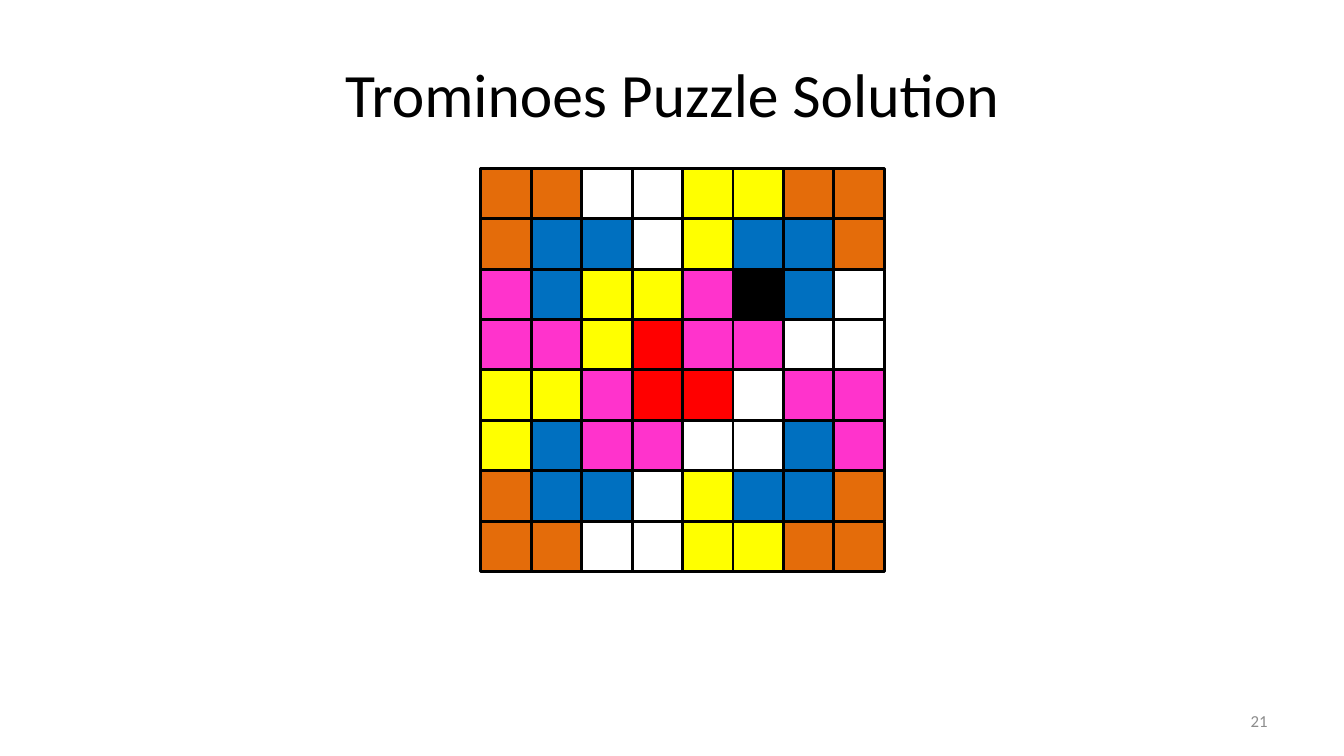
from pptx import Presentation
from pptx.dml.color import RGBColor
from pptx.enum.shapes import MSO_SHAPE
from pptx.enum.text import MSO_ANCHOR, PP_ALIGN
from pptx.util import Inches, Pt

# Content
TITLE = "Trominoes Puzzle Solution"
PAGE_NUMBER = "21"
BOARD = [
    "OO..YYOO",
    "OBB.YBBO",
    "PBYYPKB.",
    "PPYRPP..",
    "YYPRR.PP",
    "YBPP..BP",
    "OBB.YBBO",
    "OO..YYOO",
]

# Colours: a dot on the board is a square without fill
BLACK = RGBColor(0x00, 0x00, 0x00)
GREY = RGBColor(0x8C, 0x8C, 0x8C)
TILE_COLOURS = {
    "O": RGBColor(0xE4, 0x6C, 0x0A),
    "B": RGBColor(0x00, 0x70, 0xC0),
    "Y": RGBColor(0xFF, 0xFF, 0x00),
    "P": RGBColor(0xFF, 0x33, 0xCC),
    "R": RGBColor(0xFF, 0x00, 0x00),
    "K": BLACK,
}

# Layout in inches
BOARD_LEFT, BOARD_TOP, SQUARE = 4.77, 1.67, 0.5


def place(shape, left, top, width, height):
    shape.left, shape.top = Inches(left), Inches(top)
    shape.width, shape.height = Inches(width), Inches(height)


def write(shape, text, size, colour, alignment):
    frame = shape.text_frame
    frame.text = text
    frame.word_wrap = True
    frame.vertical_anchor = MSO_ANCHOR.MIDDLE
    paragraph = frame.paragraphs[0]
    paragraph.alignment = alignment
    font = paragraph.runs[0].font
    font.name, font.size, font.color.rgb = "Calibri", Pt(size), colour


def add_square(board, row, column, tile):
    square = board.shapes.add_shape(
        MSO_SHAPE.RECTANGLE,
        Inches(BOARD_LEFT + column * SQUARE),
        Inches(BOARD_TOP + row * SQUARE),
        Inches(SQUARE),
        Inches(SQUARE),
    )
    square.shadow.inherit = False
    square.line.color.rgb = BLACK
    square.line.width = Pt(2)
    if tile in TILE_COLOURS:
        square.fill.solid()
        square.fill.fore_color.rgb = TILE_COLOURS[tile]
    else:
        square.fill.background()


def main():
    presentation = Presentation()
    presentation.slide_width = Inches(13.33)
    presentation.slide_height = Inches(7.5)
    slide = presentation.slides.add_slide(presentation.slide_layouts[5])

    # Title
    title = slide.shapes.title
    place(title, 0.67, 0.3, 12, 1.25)
    write(title, TITLE, 44, BLACK, PP_ALIGN.CENTER)

    # Board of trominoes
    board = slide.shapes.add_group_shape()
    for row, tiles in enumerate(BOARD):
        for column, tile in enumerate(tiles):
            add_square(board, row, column, tile)

    # Page number
    number = slide.shapes.add_textbox(
        Inches(9.56), Inches(6.95), Inches(3.11), Inches(0.4)
    )
    write(number, PAGE_NUMBER, 12, GREY, PP_ALIGN.RIGHT)

    presentation.save("out.pptx")


if __name__ == "__main__":
    main()
